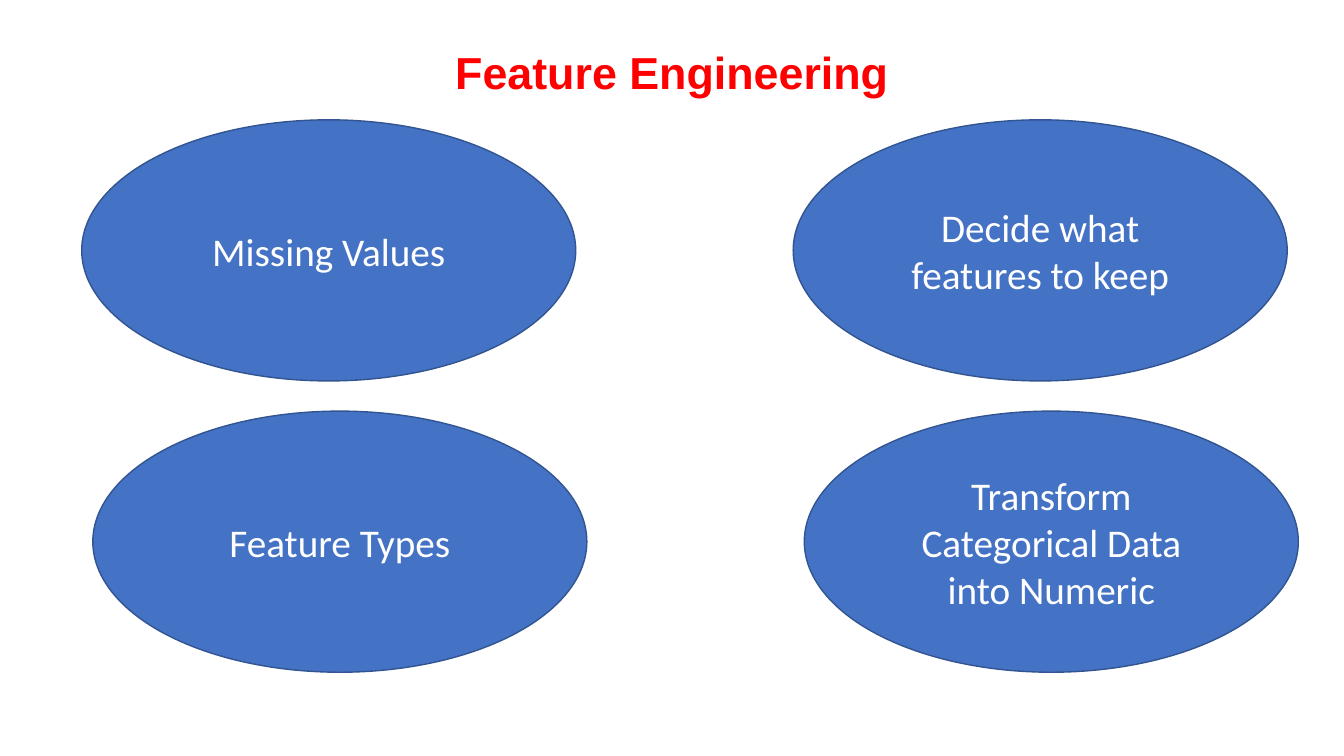
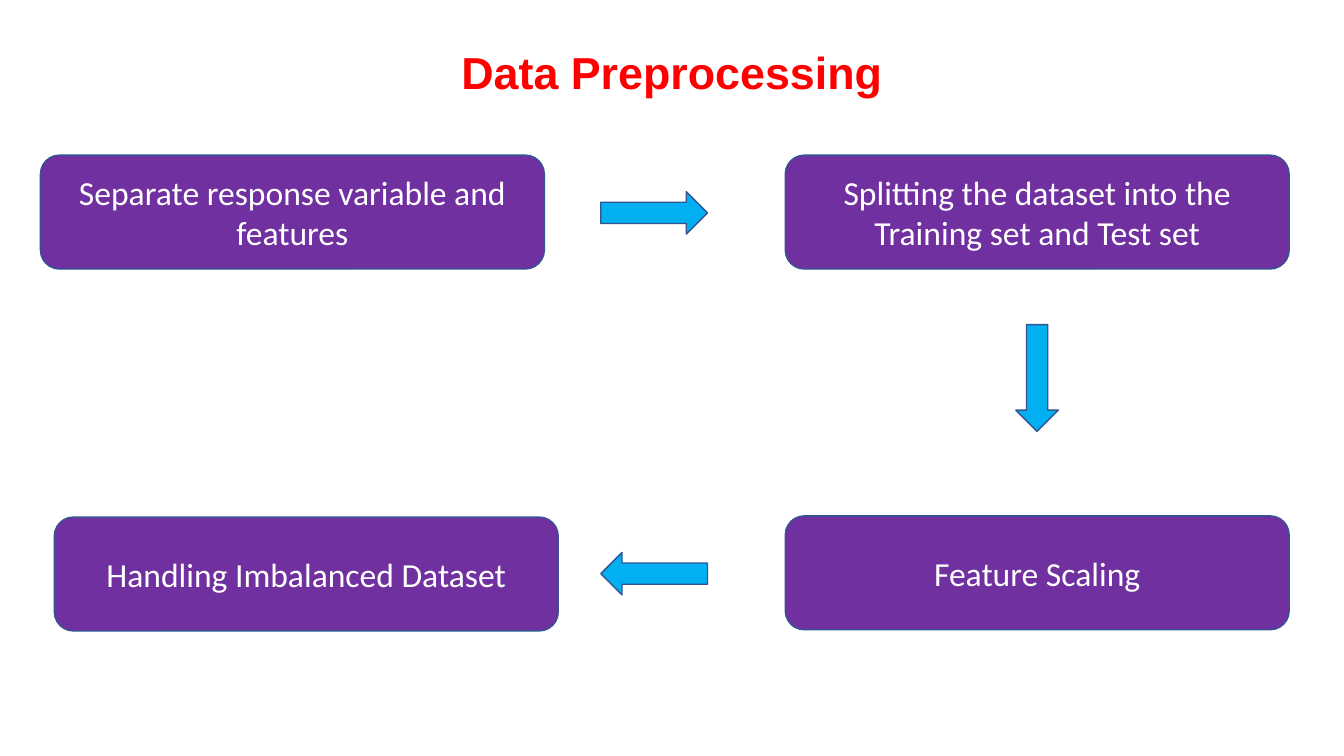
from pptx import Presentation
from pptx.dml.color import RGBColor
from pptx.enum.shapes import MSO_SHAPE
from pptx.enum.text import MSO_ANCHOR, MSO_AUTO_SIZE, PP_ALIGN
from pptx.util import Cm, Pt

COLORS = {
    "title": "FF0000",
    "topic": "4472C4",
    "step": "7030A0",
    "arrow": "00B0F0",
    "outline": "325491",
    "label": "FFFFFF",
}
TITLE_FONT = {"name": "Arial", "size": Pt(32), "bold": True}
TOPIC_FONT = {"name": "Calibri", "size": Pt(28)}
STEP_FONT = {"name": "Calibri", "size": Pt(24)}


def write_text(shape, text, font, color, line_spacing=1.0):
    """Put one centred, formatted paragraph in the middle of the shape."""
    frame = shape.text_frame
    frame.text = text
    frame.word_wrap = True
    frame.auto_size = MSO_AUTO_SIZE.NONE
    frame.vertical_anchor = MSO_ANCHOR.MIDDLE
    paragraph = frame.paragraphs[0]
    paragraph.alignment = PP_ALIGN.CENTER
    paragraph.line_spacing = line_spacing
    run_font = paragraph.runs[0].font
    for attribute, value in font.items():
        setattr(run_font, attribute, value)
    run_font.color.rgb = RGBColor.from_string(COLORS[color])


def add_outlined_shape(slide, preset, left, top, size, color):
    """Add a filled shape with the shared outline; lengths are in cm."""
    width, height = size
    shape = slide.shapes.add_shape(preset, Cm(left), Cm(top), Cm(width), Cm(height))
    shape.shadow.inherit = False
    shape.fill.solid()
    shape.fill.fore_color.rgb = RGBColor.from_string(COLORS[color])
    shape.line.color.rgb = RGBColor.from_string(COLORS["outline"])
    shape.line.width = Pt(1)
    return shape


deck = Presentation()
deck.slide_width, deck.slide_height = Cm(33.87), Cm(19.05)

# Titles
slides = []
for heading in ("Feature Engineering", "Data Preprocessing"):
    slide = deck.slides.add_slide(deck.slide_layouts[5])
    title = slide.shapes.title
    title.left, title.top, title.width, title.height = Cm(2.33), Cm(0.46), Cm(29.21), Cm(2.87)
    write_text(title, heading, TITLE_FONT, "title", line_spacing=0.9)
    slides.append(slide)
engineering, preprocessing = slides

# Feature engineering: a grid of topics whose second row is shifted to the right
TOPIC_SIZE = (12.45, 6.58)
COLUMN_PITCH, ROW_PITCH, ROW_SHIFT = 17.93, 7.34, 0.28
topic_rows = [
    ("Missing Values", "Decide what features to keep"),
    ("Feature Types", "Transform Categorical Data into Numeric"),
]
for row, topics in enumerate(topic_rows):
    for column, topic in enumerate(topics):
        left = 2.06 + column * COLUMN_PITCH + row * ROW_SHIFT
        top = 3.02 + row * ROW_PITCH
        ellipse = add_outlined_shape(
            engineering, MSO_SHAPE.OVAL, left, top, TOPIC_SIZE, "topic")
        write_text(ellipse, topic, TOPIC_FONT, "label")

# Data preprocessing: arrows lead clockwise from step to step
ARROW_SIZE = (2.69, 1.07)
for left, top, rotation in [(15.14, 4.83, 0), (24.79, 8.99, 90), (15.14, 13.92, 180)]:
    arrow = add_outlined_shape(
        preprocessing, MSO_SHAPE.RIGHT_ARROW, left, top, ARROW_SIZE, "arrow")
    arrow.rotation = rotation

STEP_SIZE = (12.7, 2.87)
steps = [
    ("Separate response variable and features", 1.02, 3.91),
    ("Splitting the dataset into the Training set and Test set", 19.79, 3.91),
    ("Feature Scaling", 19.79, 13.0),
    ("Handling Imbalanced Dataset", 1.37, 13.03),
]
for step, left, top in steps:
    box = add_outlined_shape(
        preprocessing, MSO_SHAPE.ROUNDED_RECTANGLE, left, top, STEP_SIZE, "step")
    write_text(box, step, STEP_FONT, "label")

deck.save("out.pptx")
